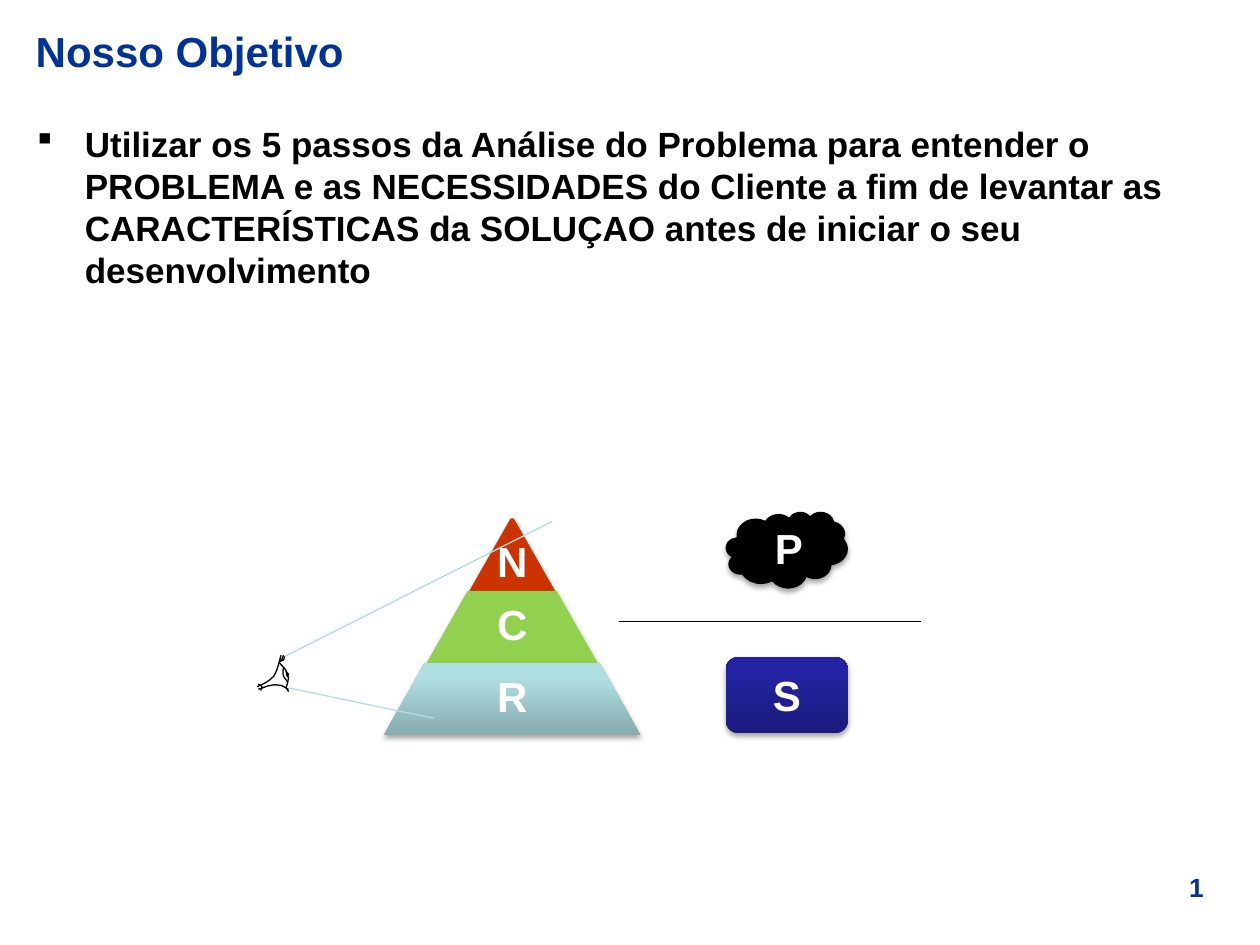
from dataclasses import dataclass

from lxml import etree
from pptx import Presentation
from pptx import util as u
from pptx.dml.color import RGBColor
from pptx.enum import shapes, text
from pptx.oxml.ns import qn

COLOURS = {
    "navy": "003399", "black": "000000", "white": "FFFFFF", "red": "CC3300",
    "green": "92D050", "teal_dark": "87ABAE", "teal": "AFDEE2",
    "blue_dark": "1B1B7E", "blue": "2323A3", "sight": "B6DCDF",
}
CELL = 0.1  # the slide is a grid of 100 columns by 75 rows
COLUMNS, ROWS = 100, 75
KIND = shapes.MSO_SHAPE


@dataclass
class Box:
    col: float
    row: float
    cols: float
    rows: float


@dataclass
class Tier:
    letter: str
    fill: tuple[str, ...]
    anchor: text.MSO_ANCHOR = text.MSO_ANCHOR.MIDDLE


@dataclass
class Block:
    letter: str
    kind: shapes.MSO_SHAPE
    box: Box
    fill: tuple[str, ...]
    left_inset: float = 0.1


@dataclass
class Ray:
    start: tuple[float, float]
    end: tuple[float, float]
    colour: str


@dataclass
class Stroke:
    """A chain of cubic curves: the start, then three points per curve."""
    points: list[tuple[float, float]]
    filled: bool = False


TIERS = [
    Tier("N", ("red",), text.MSO_ANCHOR.BOTTOM),
    Tier("C", ("green",)),
    Tier("R", ("teal_dark", "teal")),
]
PYRAMID_CENTRE, PYRAMID_TOP, TIER_ROWS, TIER_COLS = 40.65, 41.15, 5.74, 6.8

BLOCKS = [
    Block("P", KIND.CLOUD, Box(57.6, 40.6, 9.7, 6.1), ("black",), 0.2),
    Block("S", KIND.ROUNDED_RECTANGLE, Box(57.6, 52.15, 9.7, 6.05), ("blue_dark", "blue")),
]
DIVIDER = Ray((49.1, 49.3), (73.1, 49.3), "black")
SIGHT = [
    Ray((22.6, 52.1), (43.8, 41.4), "sight"),
    Ray((22.9, 54.6), (34.4, 57), "sight"),
]
EYE = [
    Stroke([(22.3, 52), (22.1, 52.7), (22, 53.3), (21.7, 53.7),
            (21.3, 54.1), (20.9, 54.3), (20.4, 54.5)]),
    Stroke([(22.9, 54.7), (22.8, 54.7), (22.6, 54.5), (22.3, 54.4),
            (22.1, 54.4), (21.8, 54.3), (21.5, 54.4),
            (21.2, 54.4), (20.7, 54.7), (20.5, 54.7)]),
    Stroke([(22.2, 52.6), (22.2, 52.7), (22.5, 52.9), (22.7, 53.2),
            (22.8, 53.4), (22.8, 53.6), (22.9, 53.8),
            (22.9, 54), (22.8, 54.2), (22.8, 54.3),
            (22.8, 54.4), (22.8, 54.5), (22.7, 54.6)]),
    Stroke([(22.5, 53), (22.5, 53.1), (22.4, 53.5), (22.5, 53.6),
            (22.5, 53.8), (22.8, 54), (22.8, 54.1)]),
    Stroke([(22.7, 53.3), (22.7, 53.5), (22.7, 53.5), (22.8, 53.7),
            (22.8, 53.8), (22.8, 53.7), (22.9, 53.5),
            (22.8, 53.4), (22.8, 53.4), (22.7, 53.3)], filled=True),
    Stroke([(20.7, 54.8), (20.7, 54.8), (20.8, 54.6), (20.8, 54.5),
            (20.7, 54.4), (20.6, 54.3), (20.5, 54.3)]),
    Stroke([(22.2, 52.5), (22.2, 52.5), (22.3, 52.4), (22.4, 52.3),
            (22.4, 52.2), (22.5, 52.1), (22.5, 52)]),
    Stroke([(22.2, 52.5), (22.2, 52.5), (22.4, 52.4), (22.5, 52.4),
            (22.5, 52.3), (22.6, 52.2), (22.6, 52.1)]),
    Stroke([(22.7, 54.6), (22.7, 54.6), (22.8, 54.7), (22.8, 54.7),
            (22.9, 54.8), (22.9, 54.8), (22.9, 54.9)]),
]


def grid(*cells: float) -> list[int]:
    return [u.Inches(cell * CELL) for cell in cells]


def frame(box: Box) -> list[int]:
    return grid(box.col, box.row, box.cols, box.rows)


def rgb(name: str) -> RGBColor:
    return RGBColor.from_string(COLOURS[name])


def write(holder, words: str, *, size=24, colour="white", align=text.PP_ALIGN.CENTER,
          anchor=text.MSO_ANCHOR.MIDDLE, insets=(0.1, 0.05, 0.1, 0.05),
          spacing=1.0, bullet="", indent=0.0) -> None:
    body = holder.text_frame
    body.word_wrap = True
    body.vertical_anchor = anchor
    (body.margin_left, body.margin_top,
     body.margin_right, body.margin_bottom) = map(u.Inches, insets)
    line = body.paragraphs[0]
    line.alignment, line.line_spacing = align, spacing
    if bullet:
        props = line._p.get_or_add_pPr()
        props.set("marL", str(u.Inches(indent)))
        props.set("indent", str(-u.Inches(indent)))
        etree.SubElement(props, qn("a:buFont"), typeface="Wingdings", charset="2")
        etree.SubElement(props, qn("a:buChar"), char=bullet)
    run = line.add_run()
    run.text = words
    run.font.name, run.font.size, run.font.bold = "Arial", u.Pt(size), True
    run.font.color.rgb = rgb(colour)


def add_label(slide, box: Box, words: str, **style) -> None:
    write(slide.shapes.add_textbox(*frame(box)), words, **style)


def add_solid(slide, kind, box: Box, colours: tuple[str, ...]):
    """Add a borderless shape with a soft shadow; two colours run from bottom to top."""
    solid = slide.shapes.add_shape(kind, *frame(box))
    solid.line.fill.background()
    if len(colours) == 1:
        solid.fill.solid()
        solid.fill.fore_color.rgb = rgb(colours[0])
    else:
        solid.fill.gradient()
        solid.fill.gradient_angle = 90
        for stop, colour, position in zip(solid.fill.gradient_stops, colours, (0, 0.8)):
            stop.color.rgb, stop.position = rgb(colour), position
    solid.shadow.inherit = False
    effects = solid._element.spPr.find(qn("a:effectLst"))
    shadow = etree.SubElement(effects, qn("a:outerShdw"), blurRad=str(u.Pt(3.1)),
                              dist=str(u.Pt(1.8)), dir="5400000", rotWithShape="0")
    tint = etree.SubElement(shadow, qn("a:srgbClr"), val=COLOURS["black"])
    etree.SubElement(tint, qn("a:alpha"), val="35000")
    return solid


def add_tier(slide, level: int, tier: Tier) -> None:
    cols = TIER_COLS * (level + 1)
    box = Box(PYRAMID_CENTRE - cols / 2, PYRAMID_TOP + level * TIER_ROWS, cols, TIER_ROWS)
    add_solid(slide, KIND.TRAPEZOID, box, tier.fill).adjustments[0] = 0.57
    add_label(slide, box, tier.letter, anchor=tier.anchor, insets=(0.03,) * 4, spacing=0.9)


def add_block(slide, block: Block) -> None:
    solid = add_solid(slide, block.kind, block.box, block.fill)
    write(solid, block.letter, insets=(block.left_inset, 0.05, 0.1, 0.05))


def add_ray(slide, ray: Ray) -> None:
    line = slide.shapes.add_connector(shapes.MSO_CONNECTOR.STRAIGHT,
                                      *grid(*ray.start, *ray.end))
    line.line.color.rgb, line.line.width = rgb(ray.colour), u.Pt(0.75)
    etree.SubElement(line._element.spPr, qn("a:effectLst"))


def bend(outline) -> None:
    """Turn every three line segments of a freeform into one cubic curve."""
    segments = list(outline._element.iter(qn("a:lnTo")))
    for first in range(0, len(segments), 3):
        curve = etree.Element(qn("a:cubicBezTo"))
        segments[first].addprevious(curve)
        for segment in segments[first:first + 3]:
            curve.append(segment[0])
            segment.getparent().remove(segment)


def add_stroke(slide, stroke: Stroke) -> None:
    builder = slide.shapes.build_freeform(*grid(*stroke.points[0]))
    builder.add_line_segments([grid(*point) for point in stroke.points[1:]],
                              close=stroke.filled)
    outline = builder.convert_to_shape()
    bend(outline)
    outline.shadow.inherit = False
    outline.line.color.rgb, outline.line.width = rgb("black"), u.Pt(0.75)
    if stroke.filled:
        outline.fill.solid()
        outline.fill.fore_color.rgb = rgb("black")
    else:
        outline.fill.background()


def main() -> None:
    deck = Presentation()
    deck.slide_width, deck.slide_height = grid(COLUMNS, ROWS)
    slide = deck.slides.add_slide(deck.slide_layouts[6])
    add_label(slide, Box(91, 68.65, 7.9, 3.5), "1", size=15, colour="navy",
              anchor=text.MSO_ANCHOR.TOP)
    for level, tier in enumerate(TIERS):
        add_tier(slide, level, tier)
    for block in BLOCKS:
        add_block(slide, block)
    for stroke in EYE:
        add_stroke(slide, stroke)
    for ray in [DIVIDER, *SIGHT]:
        add_ray(slide, ray)
    add_label(slide, Box(1.85, 1.3, 96.2, 5.5), "Nosso Objetivo", colour="navy",
              align=text.PP_ALIGN.LEFT)
    add_label(slide, Box(1.95, 9.2, 96.1, 57.5),
              "Utilizar os 5 passos da Análise do Problema para entender o PROBLEMA e as "
              "NECESSIDADES do Cliente a fim de levantar as CARACTERÍSTICAS da SOLUÇAO "
              "antes de iniciar o seu desenvolvimento",
              size=20, colour="black", align=text.PP_ALIGN.LEFT,
              anchor=text.MSO_ANCHOR.TOP, bullet="§", indent=0.38)
    deck.save("out.pptx")


if __name__ == "__main__":
    main()
